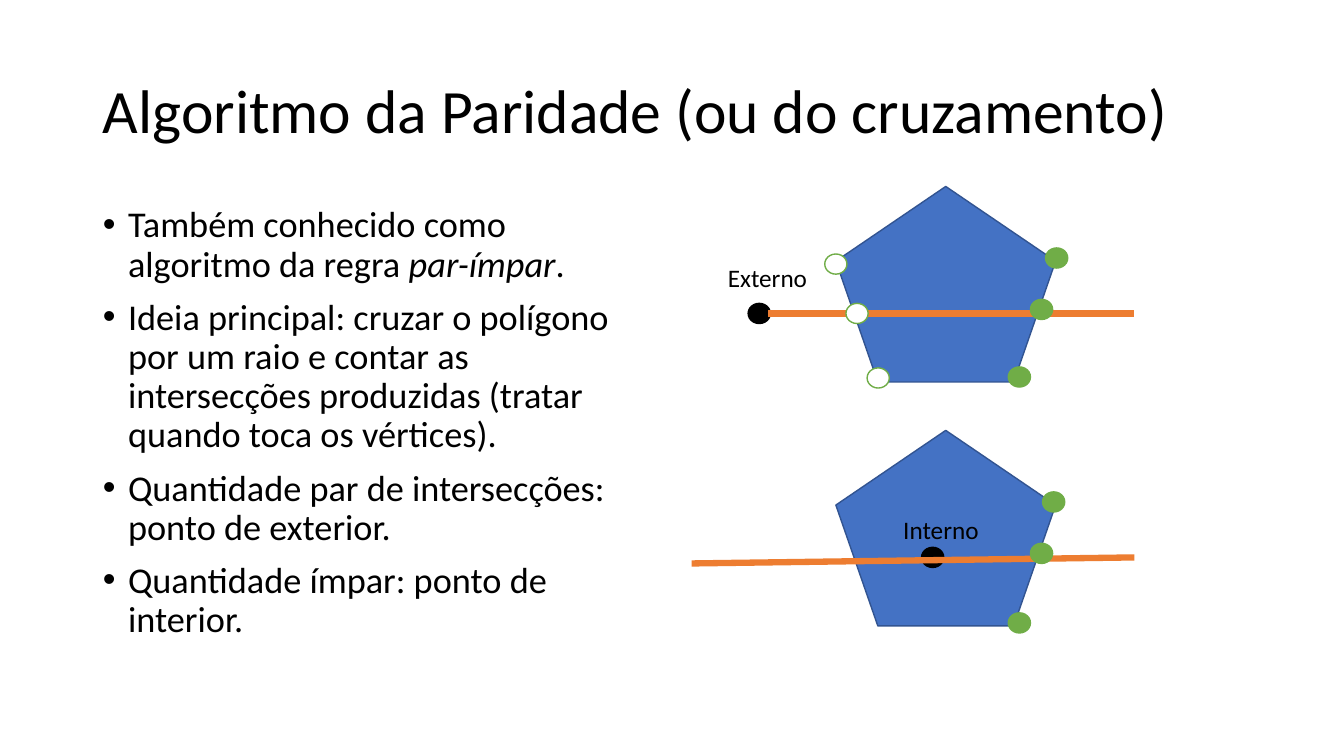
"""Builds the slide on the parity (crossing) algorithm for point in polygon."""
from lxml import etree
from pptx import Presentation
from pptx import util as u
from pptx.dml.color import RGBColor
from pptx.enum import shapes, text
from pptx.oxml.ns import qn

BLACK, WHITE, GREEN, BLUE, NAVY, ORANGE = (
    "000000", "FFFFFF", "70AD47", "4472C4", "325491", "ED7D31")
DOT_SIZE = (0.22, 0.2)


def add_run(paragraph, words, size, italic=False):
    run = paragraph.add_run()
    run.text = words
    run.font.name = "Calibri"
    run.font.size = u.Pt(size)
    run.font.italic = italic
    run.font.color.rgb = RGBColor.from_string(BLACK)


def add_figure(slide, kind, position, size, fill, line):
    shape = slide.shapes.add_shape(kind, *map(u.Inches, position + size))
    shape.shadow.inherit = False
    shape.fill.solid()
    shape.fill.fore_color.rgb = RGBColor.from_string(fill)
    shape.line.color.rgb = RGBColor.from_string(line)
    shape.line.width = u.Pt(1)


presentation = Presentation()
presentation.slide_width = u.Inches(13.33)
presentation.slide_height = u.Inches(7.5)
slide = presentation.slides.add_slide(presentation.slide_layouts[1])

title = slide.shapes.title
title.left, title.top, title.width, title.height = map(u.Inches, (0.92, 0.4, 11.5, 1.45))
title.text_frame.vertical_anchor = text.MSO_ANCHOR.MIDDLE
title.text_frame.auto_size = text.MSO_AUTO_SIZE.NONE
paragraph = title.text_frame.paragraphs[0]
paragraph.alignment = text.PP_ALIGN.LEFT
paragraph.line_spacing = 0.9
add_run(paragraph, "Algoritmo da Paridade (ou do cruzamento)", 44)

bullets = [
    [("Também conhecido como algoritmo da regra ", False), ("par-ímpar", True), (".", False)],
    [("Ideia principal: cruzar o polígono por um raio e contar as intersecções "
      "produzidas (tratar quando toca os vértices).", False)],
    [("Quantidade par de intersecções: ponto de exterior.", False)],
    [("Quantidade ímpar: ponto de interior.", False)],
]
body = slide.placeholders[1]
body.left, body.top, body.width, body.height = map(u.Inches, (0.92, 2, 5.25, 4.76))
body.text_frame.auto_size = text.MSO_AUTO_SIZE.NONE
for index, runs in enumerate(bullets):
    paragraph = body.text_frame.add_paragraph() if index else body.text_frame.paragraphs[0]
    paragraph.line_spacing = 0.9
    paragraph.space_before = u.Pt(10 if index else 0)
    properties = paragraph._p.get_or_add_pPr()
    properties.set("marL", str(u.Inches(0.25)))
    properties.set("indent", str(-u.Inches(0.25)))
    etree.SubElement(properties, qn("a:buFont")).set("typeface", "Arial")
    etree.SubElement(properties, qn("a:buChar")).set("char", "•")
    for words, italic in runs:
        add_run(paragraph, words, 25.9, italic)

scenes = [
    {"pentagon": (8.29, 1.85), "point": (7.42, 3.01), "ray": (7.62, 3.11, 11.25, 3.11),
     "label": ("Externo", 7.12, 2.55, 1, 0.4), "wrap": False,
     "left": [(8.39, 3.01), (8.18, 2.52), (8.6, 3.65)],
     "right": [(10.22, 2.97), (10, 3.64), (10.37, 2.46)]},
    {"pentagon": (8.29, 4.27), "point": (9.14, 5.43), "ray": (6.86, 5.59, 11.25, 5.53),
     "label": ("Interno", 8.86, 5.05, 1.62, 0.4), "wrap": True,
     "left": [],
     "right": [(10.22, 5.39), (10, 6.08), (10.34, 4.88)]},
]
dot = shapes.MSO_SHAPE.FLOWCHART_CONNECTOR
for scene in scenes:
    add_figure(slide, shapes.MSO_SHAPE.REGULAR_PENTAGON, scene["pentagon"],
               (2.18, 1.94), BLUE, NAVY)
    add_figure(slide, dot, scene["point"], DOT_SIZE, BLACK, BLACK)

    ray = slide.shapes.add_connector(
        shapes.MSO_CONNECTOR.STRAIGHT, *map(u.Inches, scene["ray"]))
    ray.line.color.rgb = RGBColor.from_string(ORANGE)
    ray.line.width = u.Pt(4.5)
    etree.SubElement(ray._element.spPr, qn("a:effectLst"))

    for side, fill in (("left", WHITE), ("right", GREEN)):
        for position in scene[side]:
            add_figure(slide, dot, position, DOT_SIZE, fill, GREEN)

    words, *box = scene["label"]
    label = slide.shapes.add_textbox(*map(u.Inches, box))
    label.text_frame.word_wrap = scene["wrap"]
    label.text_frame.auto_size = text.MSO_AUTO_SIZE.SHAPE_TO_FIT_TEXT
    add_run(label.text_frame.paragraphs[0], words, 18)

presentation.save("out.pptx")
